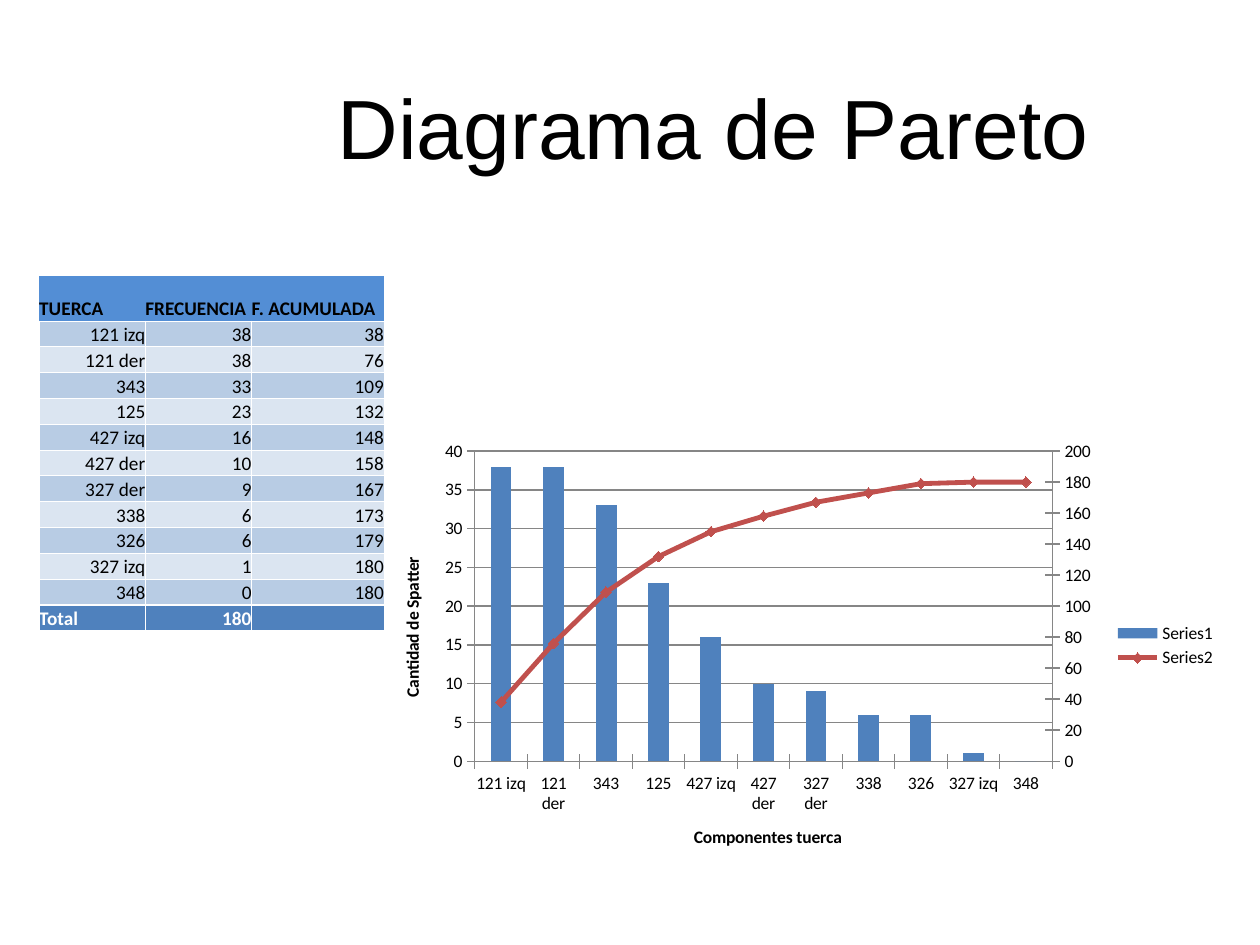
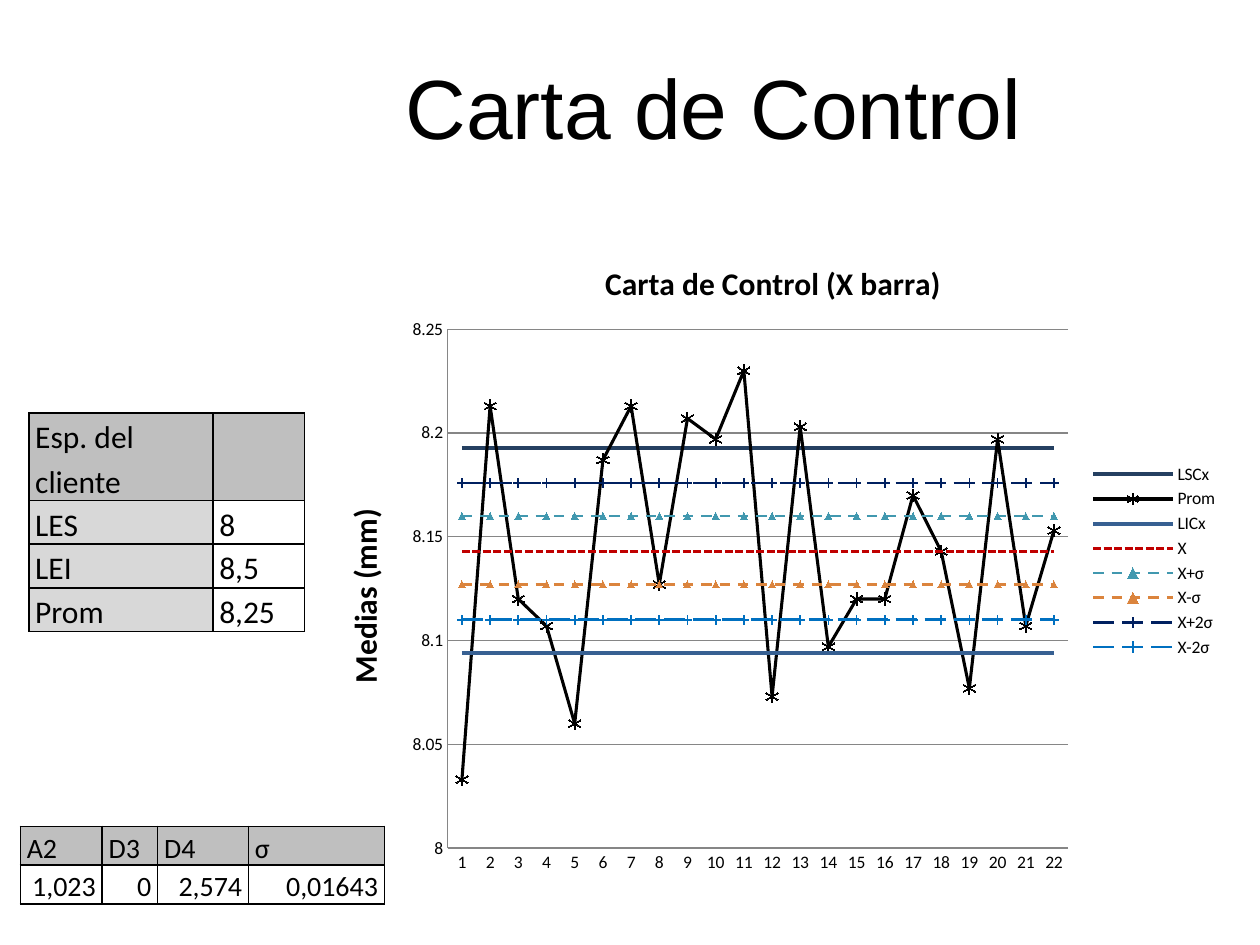
from lxml.etree import SubElement
from pptx import Presentation
from pptx.chart.data import CategoryChartData
from pptx.dml.color import RGBColor
from pptx.enum.chart import XL_CHART_TYPE as ChartType
from pptx.enum.chart import XL_LEGEND_POSITION as LegendPosition
from pptx.enum.chart import XL_MARKER_STYLE as Marker
from pptx.enum.chart import XL_TICK_MARK as Tick
from pptx.enum.dml import MSO_LINE as Dash
from pptx.enum.text import MSO_ANCHOR as Anchor
from pptx.enum.text import MSO_AUTO_SIZE as AutoSize
from pptx.enum.text import PP_ALIGN as Align
from pptx.oxml import parse_xml
from pptx.oxml.ns import nsdecls, qn
from pptx.util import Cm, Pt

BLACK, WHITE, AXIS_GRAY = "000000", "FFFFFF", "868686"
BAR_BLUE, LINE_RED = "4F81BD", "C0504D"
HEADER_GRAY, LABEL_GRAY = "BFBFBF", "D8D8D8"
NO_STYLE = "{2D5ABB26-0587-4C30-8999-92F81FD0307C}"

NUTS = ["121 izq", "121 der", "343", "125", "427 izq", "427 der",
        "327 der", "338", "326", "327 izq", "348"]
FREQUENCIES = [38, 38, 33, 23, 16, 10, 9, 6, 6, 1, 0]
CUMULATIVE = [sum(FREQUENCIES[:end + 1]) for end in range(len(FREQUENCIES))]

MEANS = [8.033, 8.213, 8.12, 8.107, 8.06, 8.187, 8.213, 8.127, 8.207, 8.197, 8.23,
         8.073, 8.203, 8.097, 8.12, 8.12, 8.17, 8.143, 8.077, 8.197, 8.107, 8.153]

CONTROL_LINES = [
    ("LSCx", 8.193, dict(color="254061", width=2.25)),
    ("Prom", MEANS, dict(color=BLACK, width=1.75, marker=Marker.STAR, size=7)),
    ("LICx", 8.094, dict(color="376092", width=2.25)),
    ("X", 8.143, dict(color="C00000", dash=Dash.SQUARE_DOT)),
    ("X+σ", 8.16, dict(color="4198AF", dash=Dash.DASH, marker=Marker.TRIANGLE, size=4)),
    ("X-σ", 8.127, dict(color="DB843D", dash=Dash.DASH, marker=Marker.TRIANGLE, size=4)),
    ("X+2σ", 8.176, dict(color="002060", dash=Dash.LONG_DASH, marker=Marker.PLUS, size=5)),
    ("X-2σ", 8.11, dict(color="0070C0", dash=Dash.LONG_DASH, marker=Marker.PLUS, size=5)),
]

SECOND_AXES = f"""
<c:plotArea {nsdecls("c", "a")}>
  <c:lineChart>
    <c:grouping val="standard"/><c:varyColors val="0"/>
    <c:marker val="1"/><c:axId val="5001"/><c:axId val="5002"/>
  </c:lineChart>
  <c:catAx>
    <c:axId val="5001"/><c:scaling><c:orientation val="minMax"/></c:scaling>
    <c:delete val="1"/><c:axPos val="b"/><c:crossAx val="5002"/>
  </c:catAx>
  <c:valAx>
    <c:axId val="5002"/>
    <c:scaling><c:orientation val="minMax"/><c:max val="200"/><c:min val="0"/></c:scaling>
    <c:delete val="0"/><c:axPos val="r"/><c:numFmt formatCode="General" sourceLinked="0"/>
    <c:majorTickMark val="cross"/><c:minorTickMark val="none"/><c:tickLblPos val="nextTo"/>
    <c:spPr><a:ln w="9525"><a:solidFill><a:srgbClr val="{AXIS_GRAY}"/></a:solidFill></a:ln></c:spPr>
    <c:crossAx val="5001"/><c:crosses val="max"/><c:majorUnit val="20"/>
  </c:valAx>
</c:plotArea>"""


def rgb(value):
    return RGBColor.from_string(value)


def put_text(frame, text, size=11, font="Calibri", color=BLACK, bold=False,
             align=Align.LEFT, spacing=None):
    para = frame.paragraphs[0]
    para.alignment = align
    para.line_spacing = spacing
    if not text:
        para._p.get_or_add_endParaRPr().set("sz", str(size * 100))
        return
    span = para.add_run()
    span.text = text
    span.font.size, span.font.name, span.font.bold = Pt(size), font, bold
    span.font.color.rgb = rgb(color)


def draw_border(cell, side, color, width):
    line = SubElement(cell._tc.get_or_add_tcPr(), qn(f"a:ln{side}"), w=str(Pt(width)))
    SubElement(SubElement(line, qn("a:solidFill")), qn("a:srgbClr"), val=color)


def style_line(line, color, width, dash=None):
    line.color.rgb = rgb(color)
    line.width = Pt(width)
    if dash:
        line.dash_style = dash


def style_series(series, color, width=1.5, dash=None, marker=Marker.NONE, size=5):
    series.smooth = False
    style_line(series.format.line, color, width, dash)
    series.marker.style = marker
    if marker != Marker.NONE:
        series.marker.size = size
        series.marker.format.fill.solid()
        series.marker.format.fill.fore_color.rgb = rgb(color)
        style_line(series.marker.format.line, color, 0.75)


def style_axis(axis, tick, title=None, title_size=10):
    axis.major_tick_mark = tick
    axis.minor_tick_mark = Tick.NONE
    style_line(axis.format.line, AXIS_GRAY, 0.75)
    if title:
        put_text(axis.axis_title.text_frame, title, size=title_size, bold=True)


def scale_axis(axis, low, high, step):
    axis.minimum_scale, axis.maximum_scale, axis.major_unit = low, high, step
    axis.has_major_gridlines = True
    style_line(axis.major_gridlines.format.line, AXIS_GRAY, 0.75)


def place_plot(chart, x, y, w, h):
    area = chart._chartSpace.chart.plotArea
    for old in area.findall(qn("c:layout")):
        area.remove(old)
    parts = "".join(f'<c:{name} val="{value}"/>' for name, value in
                    [("layoutTarget", "inner"), ("xMode", "edge"), ("yMode", "edge"),
                     ("x", x), ("y", y), ("w", w), ("h", h)])
    area.insert(0, parse_xml(f'<c:layout {nsdecls("c")}><c:manualLayout>{parts}'
                             '</c:manualLayout></c:layout>'))


def move_to_second_axis(chart, series):
    area = chart._chartSpace.chart.plotArea
    line_plot, category_axis, value_axis = parse_xml(SECOND_AXES)
    element = series._element
    for flag in element.findall(qn("c:invertIfNegative")):
        element.remove(flag)
    line_plot.insert(2, element)
    area.find(qn("c:barChart")).addnext(line_plot)
    last_axis = area.findall(qn("c:valAx"))[-1]
    last_axis.addnext(category_axis)
    category_axis.addnext(value_axis)
    return chart.plots[1].series[0]


class SlideBuilder:
    def __init__(self):
        self.deck = Presentation()
        self.deck.slide_width, self.deck.slide_height = Cm(25.4), Cm(19.05)
        self.page = None

    def new_page(self, title, left, top, width):
        self.page = self.deck.slides.add_slide(self.deck.slide_layouts[5])
        box = self.page.shapes.title
        box.left, box.top, box.width, box.height = Cm(left), Cm(top), Cm(width), Cm(2.31)
        frame = box.text_frame
        frame.word_wrap = False
        frame.auto_size = AutoSize.SHAPE_TO_FIT_TEXT
        frame.vertical_anchor = Anchor.TOP
        put_text(frame, title, size=48, font="Arial")

    def table(self, left, top, widths, heights, rows, look):
        frame = self.page.shapes.add_table(
            len(rows), len(widths), Cm(left), Cm(top), Cm(sum(widths)), Cm(sum(heights)))
        next(frame._element.iter(qn("a:tableStyleId"))).text = NO_STYLE
        table = frame.table
        for column, width in zip(table.columns, widths):
            column.width = Cm(width)
        for r, (row, height) in enumerate(zip(rows, heights)):
            table.rows[r].height = Cm(height)
            for c, text in enumerate(row):
                self.fill_cell(table.cell(r, c), text, **look(r, c))

    def fill_cell(self, cell, text, fill=None, margin=0, borders=(), **text_format):
        cell.margin_left = cell.margin_right = Cm(margin)
        cell.margin_top = cell.margin_bottom = 0
        cell.vertical_anchor = Anchor.BOTTOM
        for side, color, width in borders:
            draw_border(cell, side, color, width)
        if fill:
            cell.fill.solid()
            cell.fill.fore_color.rgb = rgb(fill)
        put_text(cell.text_frame, text, **text_format)

    def chart(self, kind, left, top, width, height, categories, series, title=None):
        data = CategoryChartData()
        data.categories = categories
        for name, values in series:
            data.add_series(name, values)
        chart = self.page.shapes.add_chart(
            kind, Cm(left), Cm(top), Cm(width), Cm(height), data).chart
        chart.font.size, chart.font.name = Pt(10), "Calibri"
        chart.font.color.rgb = rgb(BLACK)
        chart.plots[0].vary_by_categories = False
        chart.has_legend = True
        chart.legend.position = LegendPosition.RIGHT
        chart.legend.include_in_layout = False
        chart.has_title = bool(title)
        if title:
            put_text(chart.chart_title.text_frame, title, size=18, bold=True)
        return chart


def pareto_look(r, c):
    total_row = len(NUTS) + 1
    if r == 0:
        return dict(fill="538ED5", bold=True)
    top = 1.5 if r == total_row else 0.5
    bottom = 1.5 if r == total_row - 1 else 0.5
    sides = [("L", 0.5), ("R", 0.5), ("T", top), ("B", bottom)]
    borders = [(side, WHITE, width) for side, width in sides]
    if r == total_row:
        return dict(fill=BAR_BLUE, color=WHITE, bold=True, borders=borders,
                    align=Align.RIGHT if c else Align.LEFT)
    return dict(fill="B8CCE4" if r % 2 else "DBE5F1", align=Align.RIGHT, borders=borders)


def grid_look(size, fill, align):
    return dict(size=size, fill=fill, align=align, spacing=1.15, margin=0.13,
                borders=[(side, BLACK, 1) for side in "LRTB"])


def customer_look(r, c):
    fill = HEADER_GRAY if r == 0 else None if c else LABEL_GRAY
    return grid_look(18, fill, Align.JUSTIFY if r else Align.LEFT)


def constants_look(r, c):
    return grid_look(16, None if r else HEADER_GRAY, Align.RIGHT if r else Align.JUSTIFY)


def build_pareto(builder):
    builder.new_page("Diagrama de Pareto", 6.55, 1.4, 15.82)
    chart = builder.chart(
        ChartType.COLUMN_STACKED, 7.75, 8.53, 17.02, 8.97, NUTS,
        [("Series1", FREQUENCIES), ("Series2", CUMULATIVE)])
    bars, cumulative = chart.plots[0].series
    chart.plots[0].gap_width, chart.plots[0].overlap = 150, 100
    bars.format.fill.solid()
    bars.format.fill.fore_color.rgb = rgb(BAR_BLUE)
    style_axis(chart.category_axis, Tick.CROSS, "Componentes tuerca")
    style_axis(chart.value_axis, Tick.CROSS, "Cantidad de Spatter")
    scale_axis(chart.value_axis, 0, 40, 5)
    line = move_to_second_axis(chart, cumulative)
    style_series(line, LINE_RED, width=2.75, marker=Marker.DIAMOND, size=6)
    place_plot(chart, 0.107, 0.063, 0.684, 0.697)

    body = [[nut, str(count), str(running)]
            for nut, count, running in zip(NUTS, FREQUENCIES, CUMULATIVE)]
    rows = [["TUERCA", "FRECUENCIA", "F. ACUMULADA"], *body,
            ["Total", str(sum(FREQUENCIES)), ""]]
    builder.table(0.79, 5.56, [2.14, 2.14, 2.67], [0.91] + [0.52] * (len(rows) - 1),
                  rows, pareto_look)


def build_control(builder):
    builder.new_page("Carta de Control", 7.92, 0.99, 13.08)
    count = len(MEANS)
    series = [(name, values if isinstance(values, list) else [values] * count)
              for name, values, _ in CONTROL_LINES]
    chart = builder.chart(
        ChartType.LINE_MARKERS, 6.35, 4.75, 18.47, 13.11,
        [str(number + 1) for number in range(count)], series,
        title="Carta de Control (X barra)")
    for line, (_, _, look) in zip(chart.plots[0].series, CONTROL_LINES):
        style_series(line, **look)
    style_axis(chart.category_axis, Tick.NONE)
    style_axis(chart.value_axis, Tick.NONE, "Medias (mm)", title_size=18)
    scale_axis(chart.value_axis, 8, 8.25, 0.05)
    place_plot(chart, 0.145, 0.144, 0.677, 0.798)

    builder.table(0.41, 16.66, [1.65, 1.12, 1.83, 2.74], [0.78] * 2,
                  [["A2", "D3", "D4", "σ"], ["1,023", "0", "2,574", "0,01643"]],
                  constants_look)
    builder.table(0.58, 8.33, [3.71, 1.85], [1.76] + [0.88] * 3,
                  [["Esp. del cliente", ""], ["LES", "8"], ["LEI", "8,5"], ["Prom", "8,25"]],
                  customer_look)


def main():
    builder = SlideBuilder()
    build_pareto(builder)
    build_control(builder)
    builder.deck.save("out.pptx")


if __name__ == "__main__":
    main()
